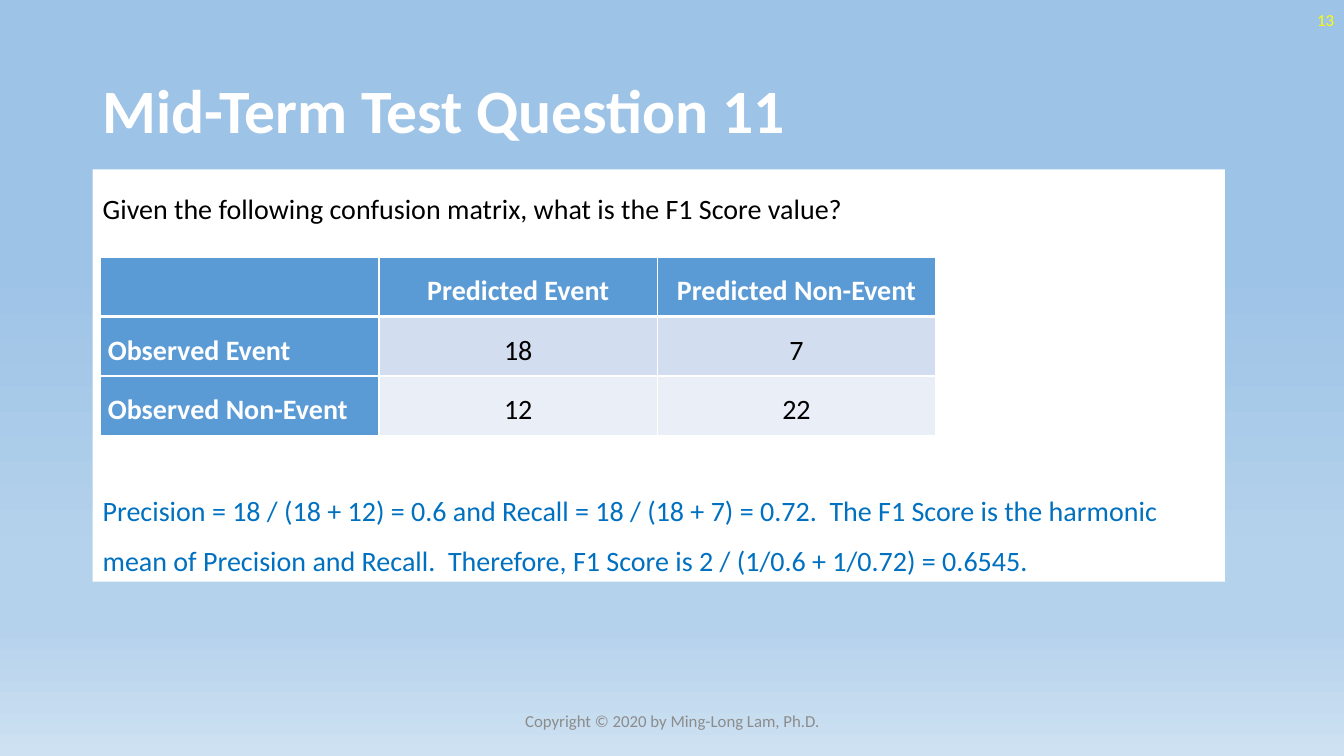
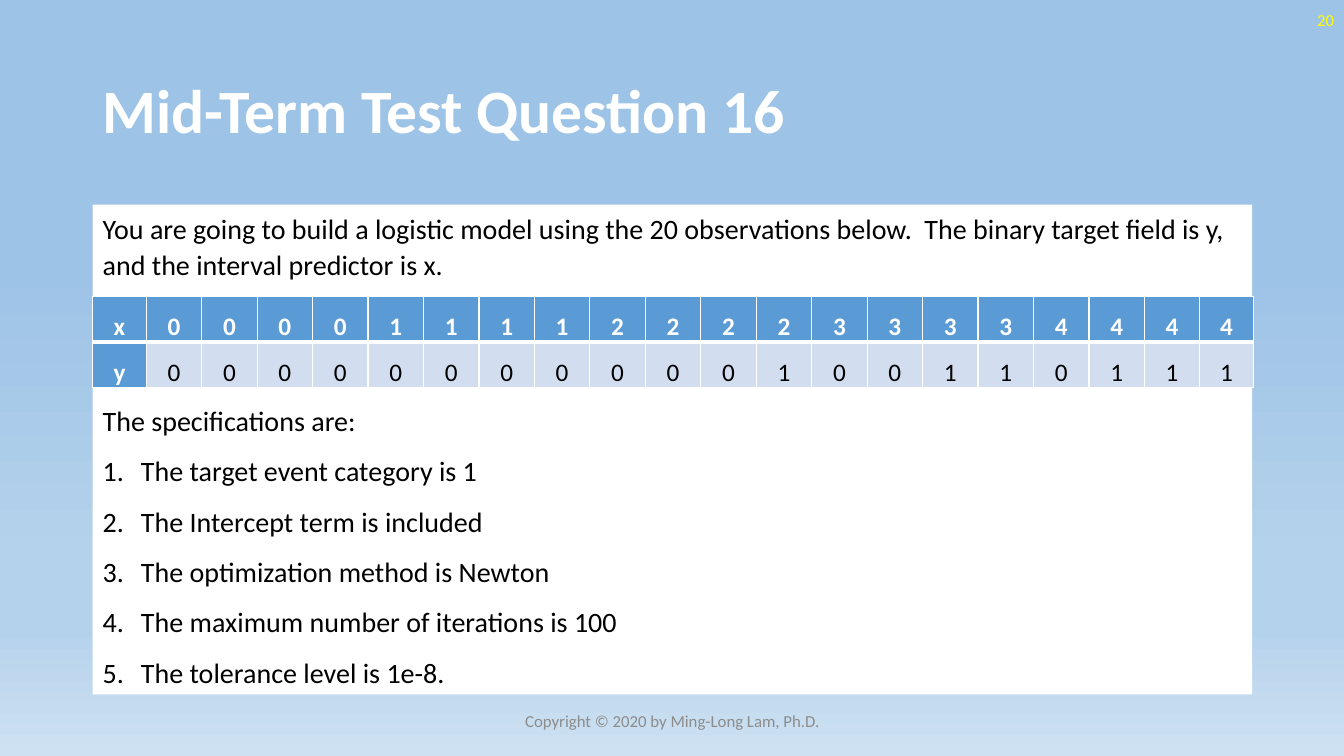
import pptx
import pptx.util
import pptx.dml.color
import pptx.enum.shapes
import pptx.enum.text
import pptx.oxml
import pptx.oxml.ns
from lxml import etree

Inches, Pt = pptx.util.Inches, pptx.util.Pt
ALIGN, ANCHOR = pptx.enum.text.PP_ALIGN, pptx.enum.text.MSO_ANCHOR

# Shared look
FONT = "Calibri"
WHITE, BLACK, YELLOW, GREY = "FFFFFF", "000000", "FFFF00", "8C8C8C"
HEADER, ANSWER = "5B9BD5", "0070C0"
BANDS = ("D2DEEF", "EAEFF7")
BACKDROP = ((35, "9DC3E6"), (74, "B5D2EC"), (83, "B5D2EC"), (100, "CEE1F2"))
LEFT, CONTENT_WIDTH = 0.92, 11.5
COPYRIGHT = "Copyright © 2020 by Ming-Long Lam, Ph.D."


def rgb(color):
    return pptx.dml.color.RGBColor.from_string(color)


def add_xml(parent, tag, **attributes):
    return etree.SubElement(parent, pptx.oxml.ns.qn(tag), attributes)


def write(frame, text, size=20, color=BLACK, bold=False, align=ALIGN.LEFT,
          spacing=1.0, before=0, numbered=False):
    """Write one paragraph, using the frame's first one if it is still empty."""
    first = frame.paragraphs[0]
    paragraph = frame.add_paragraph() if first.runs else first
    if numbered:
        properties = paragraph._p.get_or_add_pPr()
        properties.set("marL", str(Inches(0.38)))
        properties.set("indent", str(Inches(-0.38)))
        add_xml(properties, "a:buFont", typeface="+mj-lt")
        add_xml(properties, "a:buAutoNum", type="arabicPeriod")
    paragraph.alignment = align
    paragraph.line_spacing = spacing
    if before:
        paragraph.space_before = Pt(before)
    run = paragraph.add_run()
    run.text = text
    run.font.name, run.font.size, run.font.bold = FONT, Pt(size), bold
    run.font.color.rgb = rgb(color)


def add_label(slide, text, left, top, width, height, **style):
    frame = slide.shapes.add_textbox(
        Inches(left), Inches(top), Inches(width), Inches(height)).text_frame
    frame.word_wrap = True
    frame.vertical_anchor = ANCHOR.MIDDLE
    write(frame, text, **style)


def add_panel(slide, top, width, height):
    panel = slide.shapes.add_shape(
        pptx.enum.shapes.MSO_SHAPE.RECTANGLE,
        Inches(LEFT), Inches(top), Inches(width), Inches(height))
    panel.shadow.inherit = False
    panel.fill.solid()
    panel.fill.fore_color.rgb = rgb(WHITE)
    panel.line.fill.background()
    panel.text_frame.word_wrap = True
    panel.text_frame.vertical_anchor = ANCHOR.TOP
    return panel.text_frame


def style_cell(cell, row, fill):
    """Fill a cell and rule it in white, with a thick line under the header."""
    cell.margin_left = cell.margin_right = Inches(0.07)
    cell.margin_top = cell.margin_bottom = 0
    properties = cell._tc.get_or_add_tcPr()
    widths = {"L": 1, "R": 1, "T": 3 if row == 1 else 1, "B": 3 if row == 0 else 1}
    for side, width in widths.items():
        rule = add_xml(properties, f"a:ln{side}", w=str(Pt(width)))
        add_xml(add_xml(rule, "a:solidFill"), "a:srgbClr", val=WHITE)
    cell.fill.solid()
    cell.fill.fore_color.rgb = rgb(fill)


def add_matrix(slide, rows, left, top, widths, row_height, size,
               anchor=ANCHOR.TOP, stub_align=ALIGN.CENTER):
    """Add a table whose first row and first column are headings."""
    table = slide.shapes.add_table(
        len(rows), len(widths), Inches(left), Inches(top),
        Inches(sum(widths)), Inches(row_height * len(rows))).table
    for column, width in zip(table.columns, widths):
        column.width = Inches(width)
    for r, values in enumerate(rows):
        table.rows[r].height = Inches(row_height)
        for c, value in enumerate(values):
            heading = r == 0 or c == 0
            cell = table.cell(r, c)
            style_cell(cell, r, HEADER if heading else BANDS[(r - 1) % 2])
            cell.vertical_anchor = anchor
            if value != "":
                write(cell.text_frame, str(value), size=size, bold=heading,
                      color=WHITE if heading else BLACK, spacing=1.5,
                      align=stub_align if c == 0 else ALIGN.CENTER)


def set_backdrop(master):
    fill = master.background.fill
    fill.gradient()
    fill.gradient_angle = 270
    stops = next(master.element.cSld.iter(pptx.oxml.ns.qn("a:gsLst")))
    for stop in list(stops):
        stops.remove(stop)
    for position, color in BACKDROP:
        stop = add_xml(stops, "a:gs", pos=str(position * 1000))
        add_xml(stop, "a:srgbClr", val=color)


def add_question(deck, question, page):
    """Start a slide with its title, page number and footer."""
    slide = deck.slides.add_slide(deck.slide_layouts[6])
    add_label(slide, f"Mid-Term Test Question {question}", LEFT, 0.4,
              CONTENT_WIDTH, 1.45, size=44, color=WHITE, bold=True, spacing=0.9)
    add_label(slide, str(page), 10.33, 0, 3, 0.4,
              size=12, color=YELLOW, align=ALIGN.RIGHT)
    add_label(slide, COPYRIGHT, 4.42, 6.95, 4.5, 0.4,
              size=12, color=GREY, align=ALIGN.CENTER)
    return slide


def build_f1_score(deck):
    slide = add_question(deck, 11, 13)
    body = add_panel(slide, 1.68, 11.23, 4.09)
    write(body, "Given the following confusion matrix, what is the F1 Score value?",
          spacing=1.5)
    # The space before the answer leaves room for the table
    write(body, "Precision = 18 / (18 + 12) = 0.6 and Recall = 18 / (18 + 7) = 0.72.  "
          "The F1 Score is the harmonic mean of Precision and Recall.  "
          "Therefore, F1 Score is 2 / (1/0.6 + 1/0.72) = 0.6545.",
          color=ANSWER, spacing=1.5, before=180)
    confusion = [("", "Predicted Event", "Predicted Non-Event"),
                 ("Observed Event", 18, 7),
                 ("Observed Non-Event", 12, 22)]
    add_matrix(slide, confusion, 1, 2.55, [2.76] * 3, 0.59, 20,
               stub_align=ALIGN.LEFT)


def build_logistic_model(deck):
    slide = add_question(deck, 16, 20)
    body = add_panel(slide, 2.03, CONTENT_WIDTH, 4.86)
    write(body, "You are going to build a logistic model using the 20 observations "
          "below.  The binary target field is y, and the interval predictor is x.",
          spacing=1.07)
    # The space before the list leaves room for the table
    write(body, "The specifications are:", spacing=1.5, before=75)
    for specification in ("The target event category is 1",
                          "The Intercept term is included",
                          "The optimization method is Newton",
                          "The maximum number of iterations is 100",
                          "The tolerance level is 1e-8."):
        write(body, specification, spacing=1.5, numbered=True)
    predictor = [x for x in range(5) for _ in range(4)]
    target = [int(y) for y in "00000000000100110111"]
    add_matrix(slide, [["x", *predictor], ["y", *target]], LEFT, 2.94,
               [0.53] + [0.55] * 19 + [0.53], 0.45, 18, anchor=ANCHOR.MIDDLE)


def main():
    deck = pptx.Presentation()
    deck.slide_width, deck.slide_height = Inches(13.33), Inches(7.5)
    set_backdrop(deck.slide_master)
    build_f1_score(deck)
    build_logistic_model(deck)
    deck.save("out.pptx")


if __name__ == "__main__":
    main()
